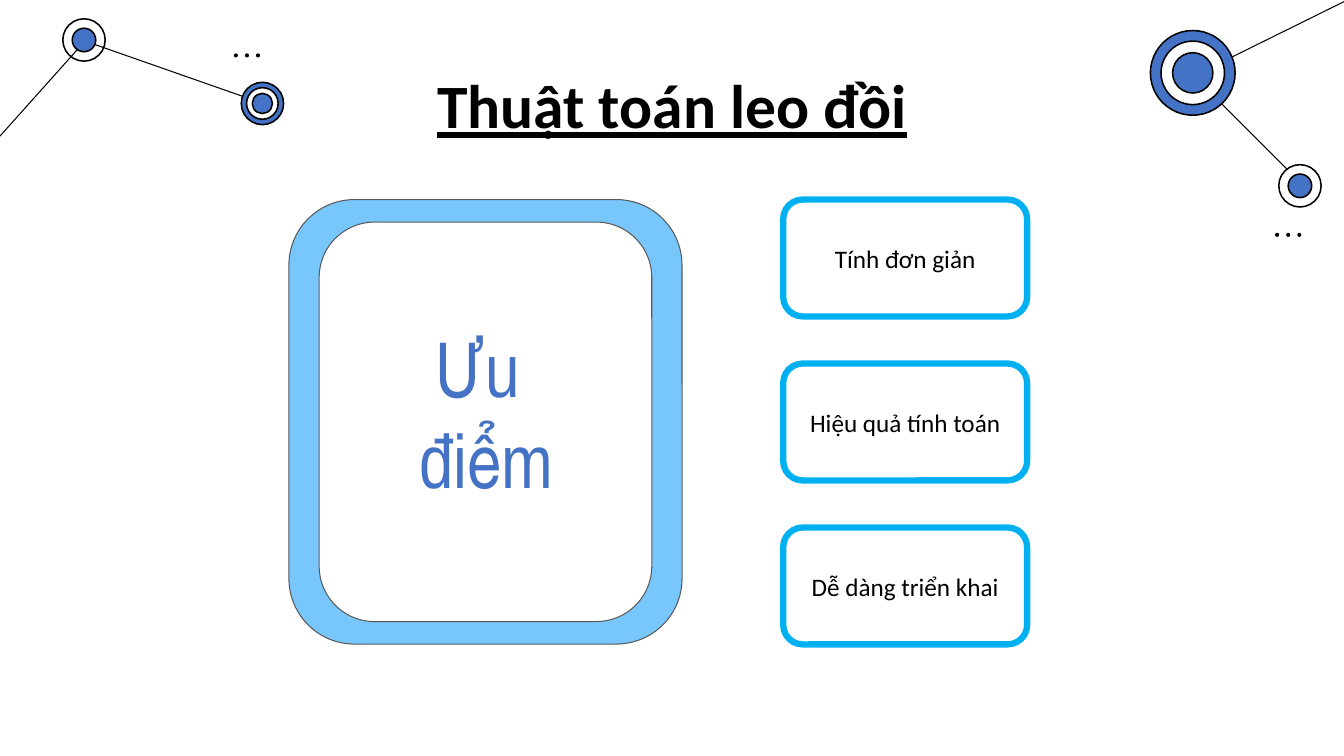
from pptx import Presentation
from pptx.util import Inches, Pt
from pptx.dml.color import RGBColor
from pptx.enum.shapes import MSO_CONNECTOR, MSO_SHAPE
from pptx.enum.text import MSO_ANCHOR, PP_ALIGN
from pptx.oxml.ns import qn
from lxml import etree

OVAL, ROUNDED = MSO_SHAPE.OVAL, MSO_SHAPE.ROUNDED_RECTANGLE
STRAIGHT = MSO_CONNECTOR.STRAIGHT
TOP, MIDDLE = MSO_ANCHOR.TOP, MSO_ANCHOR.MIDDLE
CENTER = PP_ALIGN.CENTER
COLORS = {name: RGBColor.from_string(value) for name, value in {
    "black": "000000", "white": "FFFFFF", "blue": "4472C4",
    "sky": "77C6FC", "gray": "595959", "cyan": "00B0F0"}.items()}

deck = Presentation()
deck.slide_width, deck.slide_height = Inches(13.333), Inches(7.5)
slide = deck.slides.add_slide(deck.slide_layouts[6])
COL, ROW = deck.slide_width / 40, deck.slide_height / 22.5


def outlined(kind, left, top, width, height, fill, line=None, weight=0.75):
    shape = slide.shapes.add_shape(kind, int(left * COL), int(top * ROW),
                                   int(width * COL), int(height * ROW))
    shape.shadow.inherit = False
    if fill:
        shape.fill.solid()
        shape.fill.fore_color.rgb = COLORS[fill]
    else:
        shape.fill.background()
    if line:
        shape.line.color.rgb = COLORS[line]
        shape.line.width = Pt(weight)
    else:
        shape.line.fill.background()
    return shape


def write(shape, lines, size, font, color, anchor=MIDDLE, inset=0.1, emphasis=False):
    frame = shape.text_frame
    frame.word_wrap = True
    frame.vertical_anchor = anchor
    frame.margin_left = frame.margin_right = Inches(inset)
    frame.margin_top = frame.margin_bottom = Inches(inset)
    paragraph = frame.paragraphs[0]
    paragraph.alignment = CENTER
    for number, line in enumerate(lines):
        if number:
            paragraph.add_line_break()
        run = paragraph.add_run()
        run.text = line
        run.font.size, run.font.name = Pt(size), font
        run.font.color.rgb = COLORS[color]
        run.font.bold = run.font.underline = emphasis
    return paragraph


links = [(38.7, 5.43, 35.46, 2.19), (2.55, 1.23, 7.86, 3.09),
         (0, 4.05, 2.55, 1.2), (40, 0.05, 35.67, 2.19)]
for x1, y1, x2, y2 in links:
    link = slide.shapes.add_connector(STRAIGHT, int(x1 * COL), int(y1 * ROW),
                                      int(x2 * COL), int(y2 * ROW))
    link.line.color.rgb = COLORS["black"]
    link.line.width = Pt(0.75)
    etree.SubElement(link._element.spPr, qn("a:effectLst"))

nodes = [
    (2.5, 1.19, [(1.26, None), (0.7, "blue")]),
    (7.81, 3.08, [(1.26, "blue"), (0.94, "white"), (0.6, "blue")]),
    (35.5, 2.17, [(2.52, "blue"), (1.89, "white"), (1.2, "blue")]),
    (38.69, 5.53, [(1.26, "white"), (0.7, "blue")]),
]
for x, y, rings in nodes:
    for diameter, fill in rings:
        outlined(OVAL, x - diameter / 2, y - diameter / 2, diameter, diameter,
                 fill, "black", 1.1)

for x, y in [(6.96, 1.59), (37.95, 6.93)]:
    for dot in range(3):
        outlined(OVAL, x + dot * 0.33, y, 0.12, 0.12, "black")

body_top = 5.94
panel_left, panel_width, panel_height = 8.6, 11.7, 13.23
for inset_x, inset_y, fill in [(0, 0, "sky"), (0.9, 0.67, "white")]:
    outlined(ROUNDED, panel_left + inset_x, body_top + inset_y,
             panel_width - 2 * inset_x, panel_height - 2 * inset_y, fill, "gray")

heading = slide.shapes.add_textbox(int(10.14 * COL), int(9.42 * ROW),
                                   int(8.67 * COL), int(5.73 * ROW))
write(heading, ["Ưu ", "điểm"], 54, "Arial Narrow", "blue", inset=0.13)

title = slide.shapes.add_textbox(int(6.87 * COL), int(1.95 * ROW),
                                 int(26.28 * COL), int(2.61 * ROW))
write(title, ["Thuật toán leo đồi"], 44, "Calibri", "black",
      anchor=TOP, emphasis=True).line_spacing = 0.9

advantages = ["Tính đơn giản", "Hiệu quả tính toán", "Dễ dàng triển khai"]
for index, advantage in enumerate(advantages):
    card = outlined(ROUNDED, 23.31, body_top + index * 4.88, 7.26, 3.48,
                    "white", "cyan", 4.5)
    write(card, [advantage], 18, "Calibri", "black")

deck.save("out.pptx")
